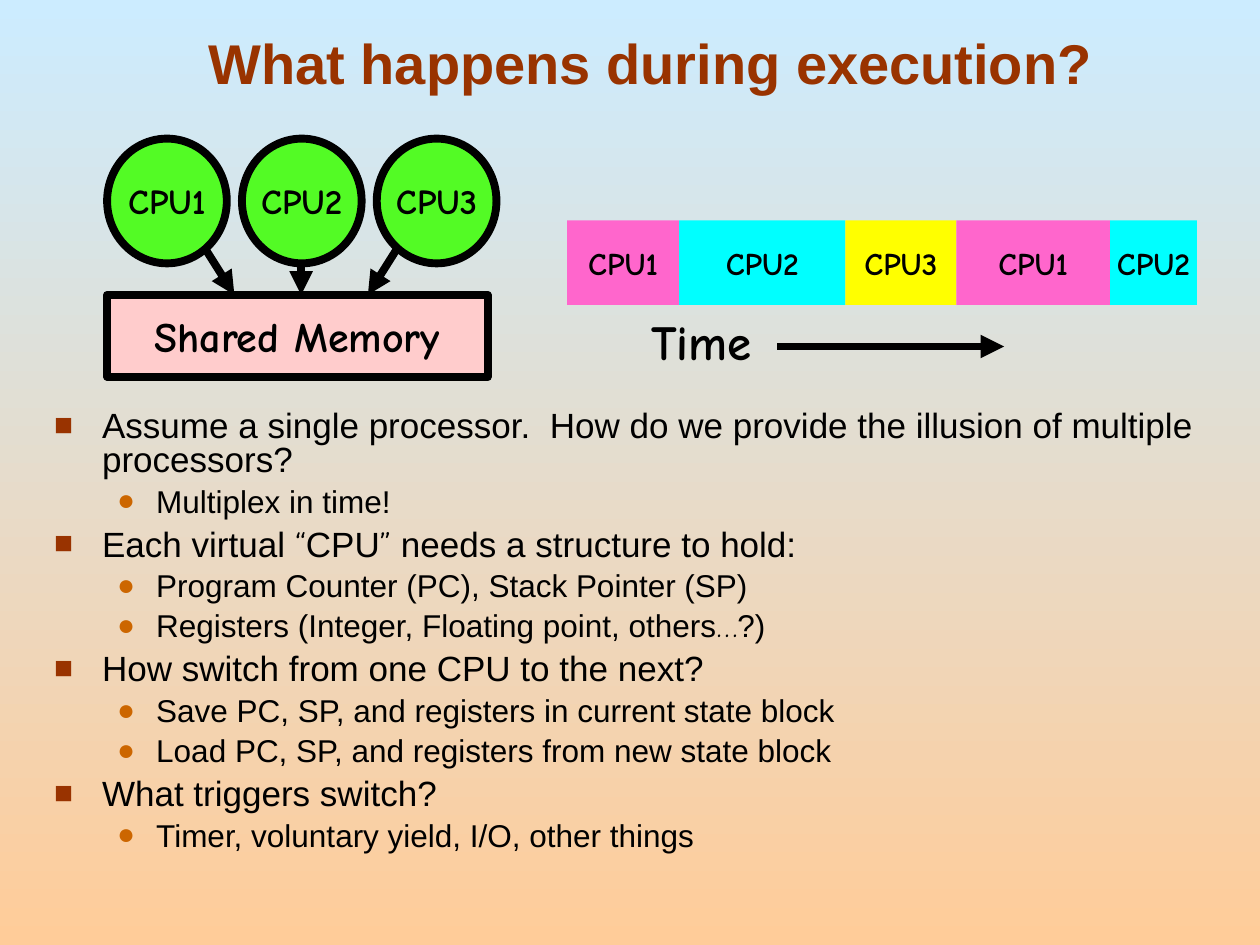
from dataclasses import dataclass
from itertools import groupby, pairwise

from lxml.etree import SubElement
from pptx import Presentation
from pptx.dml.color import RGBColor
from pptx.enum.shapes import MSO_CONNECTOR, MSO_SHAPE
from pptx.enum.text import MSO_ANCHOR, MSO_AUTO_SIZE, PP_ALIGN
from pptx.oxml.ns import qn
from pptx.util import Inches, Pt


@dataclass(frozen=True)
class Theme:
    sky: RGBColor = RGBColor.from_string("CCECFF")
    sand: RGBColor = RGBColor.from_string("FFCC99")
    ink: RGBColor = RGBColor.from_string("000000")
    rust: RGBColor = RGBColor.from_string("993300")
    orange: RGBColor = RGBColor.from_string("CC6600")
    processor: RGBColor = RGBColor.from_string("53FB25")
    memory: RGBColor = RGBColor.from_string("FFCCCC")
    pink: RGBColor = RGBColor.from_string("FF66CC")
    cyan: RGBColor = RGBColor.from_string("00FFFF")
    yellow: RGBColor = RGBColor.from_string("FFFF00")
    text_font: str = "Arial"
    diagram_font: str = "Comic Neue"
    title_size: int = 32
    time_size: int = 28
    memory_size: int = 24
    topic_size: int = 20
    detail_size: int = 18
    stroke: float = 4.5


theme = Theme()


def write(paragraph, text, size, font=theme.diagram_font, color=theme.ink,
          bold=True, align=PP_ALIGN.CENTER):
    """Add text; curly quotes and ellipses always take the diagram font."""
    paragraph.alignment = align
    for is_symbol, letters in groupby(text, lambda letter: letter in "“”…"):
        run = paragraph.add_run()
        run.text = "".join(letters)
        run.font.name = theme.diagram_font if is_symbol else font
        run.font.size = Pt(size)
        run.font.bold = bold
        run.font.color.rgb = color


def add_arrow(shapes, x1, y1, x2, y2):
    arrow = shapes.add_connector(MSO_CONNECTOR.STRAIGHT, Inches(x1), Inches(y1),
                                 Inches(x2), Inches(y2))
    arrow.line.color.rgb = theme.ink
    arrow.line.width = Pt(theme.stroke)
    SubElement(arrow.line._get_or_add_ln(), qn("a:tailEnd"), type="triangle")
    SubElement(arrow._element.spPr, qn("a:effectLst"))


deck = Presentation()
deck.slide_width, deck.slide_height = Inches(10), Inches(7.5)
slide = deck.slides.add_slide(deck.slide_layouts[1])
shapes = slide.shapes

# Background gradient, top to bottom
backdrop = slide.background.fill
backdrop.gradient()
backdrop.gradient_angle = 270
for stop, color in zip(backdrop.gradient_stops, (theme.sky, theme.sand)):
    stop.color.rgb = color

# Title
title = shapes.title
title.left, title.top = Inches(0.75), Inches(0.14)
title.width, title.height = Inches(8.83), Inches(0.67)
title.text_frame.auto_size = MSO_AUTO_SIZE.NONE
title.text_frame.vertical_anchor = MSO_ANCHOR.BOTTOM
write(title.text_frame.paragraphs[0], "What happens during execution?",
      size=theme.title_size, font=theme.text_font, color=theme.rust)

# Processors, shared memory and the blocks of the timeline
outlined_parts = [
    (MSO_SHAPE.OVAL, f"CPU{i + 1}", 0.85 + 1.07 * i, 1.1, 0.95, 0.99,
     theme.processor, theme.topic_size, True)
    for i in range(3)
]
outlined_parts.append((MSO_SHAPE.RECTANGLE, "Shared Memory", 0.85, 2.34, 3.02, 0.65,
                       theme.memory, theme.memory_size, True))
turn_edges = pairwise([4.5, 5.39, 6.71, 7.59, 8.81, 9.5])
turn_colors = {"CPU1": theme.pink, "CPU2": theme.cyan, "CPU3": theme.yellow}
turns = ["CPU1", "CPU2", "CPU3", "CPU1", "CPU2"]
timeline_parts = [
    (MSO_SHAPE.RECTANGLE, cpu, start, 1.75, end - start, 0.67,
     turn_colors[cpu], theme.detail_size, False)
    for cpu, (start, end) in zip(turns, turn_edges)
]
for kind, label, x, y, width, height, color, size, outlined in outlined_parts + timeline_parts:
    part = shapes.add_shape(kind, Inches(x), Inches(y), Inches(width), Inches(height))
    part.shadow.inherit = False
    part.fill.solid()
    part.fill.fore_color.rgb = color
    if outlined:
        part.line.color.rgb = theme.ink
        part.line.width = Pt(theme.stroke)
    else:
        part.line.fill.background()
    part.text_frame.word_wrap = False
    part.text_frame.vertical_anchor = MSO_ANCHOR.MIDDLE
    write(part.text_frame.paragraphs[0], label, size=size)

# Memory accesses and the direction of time
for x1, y1, x2, y2 in [(1.62, 1.96, 1.86, 2.34), (2.39, 2.09, 2.39, 2.34),
                       (3.16, 1.96, 2.92, 2.34), (6.17, 2.75, 7.97, 2.75)]:
    add_arrow(shapes, x1, y1, x2, y2)

time_label = shapes.add_textbox(Inches(5.07), Inches(2.42), Inches(1.13), Inches(0.57))
time_label.text_frame.word_wrap = False
write(time_label.text_frame.paragraphs[0], "Time", size=theme.time_size,
      align=PP_ALIGN.LEFT)

# Explanation: level 0 is a topic, level 1 a detail
explanation = [
    (0, "Assume a single processor.  How do we provide the illusion of multiple processors?"),
    (1, "Multiplex in time!"),
    (0, "Each virtual “CPU” needs a structure to hold:"),
    (1, "Program Counter (PC), Stack Pointer (SP)"),
    (1, "Registers (Integer, Floating point, others…?)"),
    (0, "How switch from one CPU to the next?"),
    (1, "Save PC, SP, and registers in current state block"),
    (1, "Load PC, SP, and registers from new state block"),
    (0, "What triggers switch?"),
    (1, "Timer, voluntary yield, I/O, other things"),
]
# Size, space before, left margin, hanging indent, bullet, its colour and percentage
level_styles = [
    (theme.topic_size, 6.2, 0.38, 0.38, "■", theme.rust, 90),
    (theme.detail_size, 5.6, 0.81, 0.31, "●", theme.orange, 95),
]
body = slide.placeholders[1]
body.left, body.top = Inches(0.33), Inches(3.22)
body.width, body.height = Inches(9.42), Inches(3.79)
body.text_frame.auto_size = MSO_AUTO_SIZE.NONE
for i, (level, text) in enumerate(explanation):
    size, gap, margin, hang, bullet, bullet_color, percent = level_styles[level]
    item = body.text_frame.add_paragraph() if i else body.text_frame.paragraphs[0]
    item.level = level
    item.line_spacing = 0.8
    item.space_before = Pt(gap if i else 0)
    properties = item._p.get_or_add_pPr()
    properties.set("marL", str(Inches(margin)))
    properties.set("indent", str(-Inches(hang)))
    SubElement(SubElement(properties, qn("a:buClr")), qn("a:srgbClr"), val=str(bullet_color))
    SubElement(properties, qn("a:buSzPct"), val=str(percent * 1000))
    SubElement(properties, qn("a:buFont"), typeface=theme.text_font)
    SubElement(properties, qn("a:buChar"), char=bullet)
    write(item, text, size=size, font=theme.text_font, bold=False, align=PP_ALIGN.LEFT)

deck.save("out.pptx")
